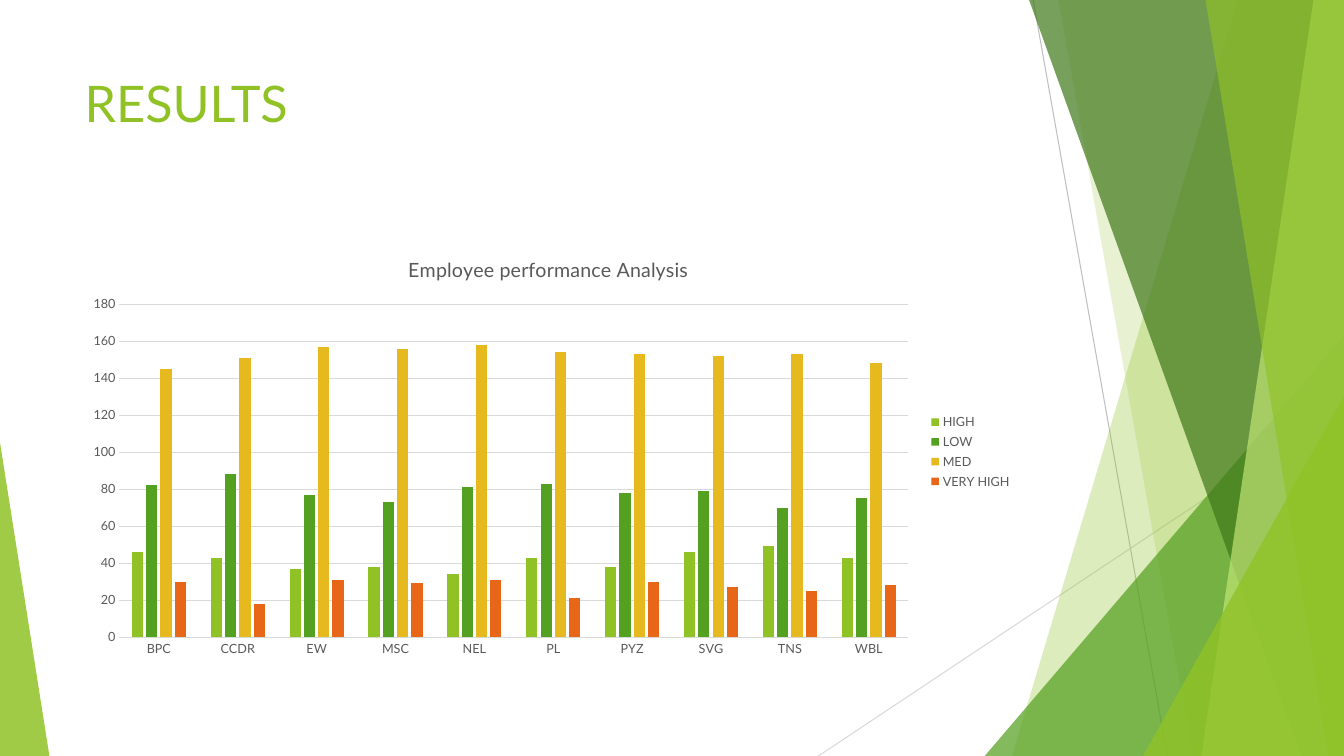
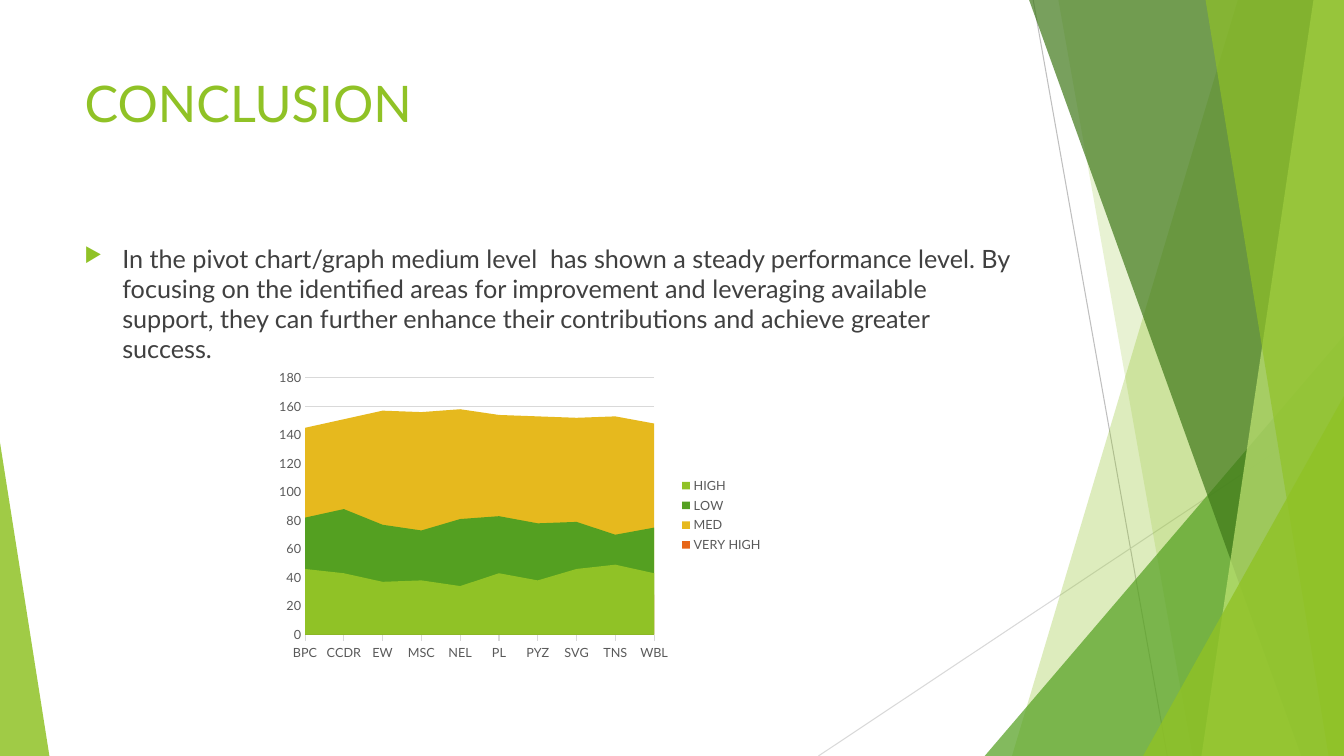
import pptx
import pptx.util
import pptx.dml.color
import pptx.chart.data
import pptx.enum.chart
import pptx.enum.shapes
import pptx.enum.text
import pptx.oxml
import pptx.oxml.ns
import lxml.etree

Pt = pptx.util.Pt
qn = pptx.oxml.ns.qn
FONT = "Lato"
COLOURS = {
    "lime": "90C226",
    "green": "54A021",
    "forest": "3F7819",
    "pale": "C0E474",
    "gold": "E6B91E",
    "orange": "E76618",
    "text": "404040",
    "label": "595959",
    "rule": "D9D9D9",
    "dark_rule": "BFBFBF",
}
WIDTH, HEIGHT = 960, 540
LEFT, CONTENT_TOP, CONTENT_WIDTH, CONTENT_HEIGHT = 53.3, 170, 676.8, 305.3

CATEGORIES = ["BPC", "CCDR", "EW", "MSC", "NEL", "PL", "PYZ", "SVG", "TNS", "WBL"]
SERIES = [
    ("HIGH", "lime", [46, 43, 37, 38, 34, 43, 38, 46, 49, 43]),
    ("LOW", "green", [82, 88, 77, 73, 81, 83, 78, 79, 70, 75]),
    ("MED", "gold", [145, 151, 157, 156, 158, 154, 153, 152, 153, 148]),
    ("VERY HIGH", "orange", [30, 18, 31, 29, 31, 21, 30, 27, 25, 28]),
]


def rgb(name):
    return pptx.dml.color.RGBColor.from_string(COLOURS[name])


def style_font(font, size, colour):
    font.name = FONT
    font.size = Pt(size)
    font.bold = False
    font.color.rgb = rgb(colour)


deck = pptx.Presentation()
deck.slide_width = Pt(WIDTH)
deck.slide_height = Pt(HEIGHT)
layout = deck.slide_layouts[5]

pages = []
for heading in ["RESULTS", "CONCLUSION"]:
    page = deck.slides.add_slide(layout)
    title = page.shapes.title
    title.left, title.top = Pt(LEFT), Pt(48)
    title.width, title.height = Pt(CONTENT_WIDTH), Pt(104)
    title.text_frame.vertical_anchor = pptx.enum.text.MSO_ANCHOR.TOP
    para = title.text_frame.paragraphs[0]
    para.alignment = pptx.enum.text.PP_ALIGN.LEFT
    span = para.add_run()
    span.text = heading
    style_font(span.font, 36, "lime")
    pages.append(page)
results, conclusion = pages

RULES = [(738, 0, 833.8, 540, "dark_rule"), (960, 290.2, 584.6, 540, "rule")]
FACETS = [
    ("band", (884.2, 722.9), "lime", 30),
    ("band", (756, 851.8), "lime", 20),
    ("triangle", (703.4, 239.8, 256.6, 1), "green", 72),
    ("band", (735.1, 929.5), "forest", 70),
    ("band", (938.2, 858.2), "pale", 70),
    ("band", (861.1, 949), "lime", 65),
    ("triangle", (816.5, 283, 143.5, 1), "lime", 80),
    ("triangle", (0, 316.1, 35.3, 0), "lime", 85),
]

backdrop = []
for x1, y1, x2, y2, colour in RULES:
    rule = results.shapes.add_connector(
        pptx.enum.shapes.MSO_CONNECTOR.STRAIGHT, Pt(x1), Pt(y1), Pt(x2), Pt(y2))
    rule.line.color.rgb = rgb(colour)
    rule.line.width = Pt(0.75)
    lxml.etree.SubElement(rule.element.spPr, qn("a:effectLst"))
    backdrop.append(rule)

for kind, geometry, colour, opacity in FACETS:
    if kind == "band":
        top_x, bottom_x = geometry
        outline = results.shapes.build_freeform(Pt(top_x), 0)
        outline.add_line_segments(
            [(Pt(WIDTH), 0), (Pt(WIDTH), Pt(HEIGHT)), (Pt(bottom_x), Pt(HEIGHT))], close=True)
        facet = outline.convert_to_shape()
    else:
        left, top, width, apex = geometry
        facet = results.shapes.add_shape(
            pptx.enum.shapes.MSO_SHAPE.ISOSCELES_TRIANGLE,
            Pt(left), Pt(top), Pt(width), Pt(HEIGHT - top))
        facet.adjustments[0] = apex
    facet.shadow.inherit = False
    facet.fill.solid()
    facet.fill.fore_color.rgb = rgb(colour)
    facet.line.fill.background()
    tint = facet.element.spPr.find(qn("a:solidFill")).find(qn("a:srgbClr"))
    lxml.etree.SubElement(tint, qn("a:alpha")).set("val", str(opacity * 1000))
    backdrop.append(facet)

for shape in backdrop:
    layout.shapes.element.append(shape.element)

box = conclusion.shapes.add_textbox(
    Pt(LEFT), Pt(CONTENT_TOP), Pt(CONTENT_WIDTH), Pt(CONTENT_HEIGHT))
box.text_frame.word_wrap = True
para = box.text_frame.paragraphs[0]
para.space_before = Pt(10)
span = para.add_run()
span.text = (
    "In the pivot chart/graph medium level  has shown a steady performance level. "
    "By focusing on the identified areas for improvement and leveraging available "
    "support, they can further enhance their contributions and achieve greater success."
)
style_font(span.font, 18, "text")
properties = para._p.get_or_add_pPr()
properties.set("marL", str(Pt(27)))
properties.set("indent", str(Pt(-27)))
bullet_colour = lxml.etree.SubElement(properties, qn("a:buClr"))
lxml.etree.SubElement(bullet_colour, qn("a:srgbClr")).set("val", COLOURS["lime"])
lxml.etree.SubElement(properties, qn("a:buSzPct")).set("val", "80000")
lxml.etree.SubElement(properties, qn("a:buChar")).set("char", "▶")

chart_data = pptx.chart.data.CategoryChartData()
chart_data.categories = CATEGORIES
for name, colour, values in SERIES:
    chart_data.add_series(name, values)

CHART_TYPE = pptx.enum.chart.XL_CHART_TYPE
TICK = pptx.enum.chart.XL_TICK_MARK
CHARTS = [
    (results, CHART_TYPE.COLUMN_CLUSTERED, TICK.NONE,
     (LEFT, CONTENT_TOP, CONTENT_WIDTH, CONTENT_HEIGHT), "Employee performance Analysis"),
    (conclusion, CHART_TYPE.AREA, TICK.OUTSIDE, (192.2, 260, 360, 216), None),
]
for page, chart_type, tick, bounds, caption in CHARTS:
    chart = page.shapes.add_chart(chart_type, *[Pt(n) for n in bounds], chart_data).chart
    style_font(chart.font, 9, "label")

    chart.has_title = caption is not None
    if caption:
        span = chart.chart_title.text_frame.paragraphs[0].add_run()
        span.text = caption
        style_font(span.font, 14, "label")

    chart.has_legend = True
    chart.legend.position = pptx.enum.chart.XL_LEGEND_POSITION.RIGHT
    chart.legend.include_in_layout = False
    style_font(chart.legend.font, 9, "label")

    plot = chart.plots[0]
    plot.vary_by_categories = False
    if chart_type == CHART_TYPE.COLUMN_CLUSTERED:
        plot.gap_width = 219
        plot.overlap = -27
    for series, (name, colour, values) in zip(plot.series, SERIES):
        series.format.fill.solid()
        series.format.fill.fore_color.rgb = rgb(colour)

    category_axis, value_axis = chart.category_axis, chart.value_axis
    for axis in (category_axis, value_axis):
        axis.minor_tick_mark = TICK.NONE
        style_font(axis.tick_labels.font, 9, "label")
    category_axis.has_major_gridlines = False
    category_axis.major_tick_mark = tick
    value_axis.major_tick_mark = TICK.NONE
    value_axis.minimum_scale = 0
    value_axis.maximum_scale = 180
    value_axis.major_unit = 20
    value_axis.has_major_gridlines = True
    value_axis.format.line.fill.background()
    for line in (category_axis.format.line, value_axis.major_gridlines.format.line):
        line.color.rgb = rgb("rule")
        line.width = Pt(0.75)

deck.save("out.pptx")
